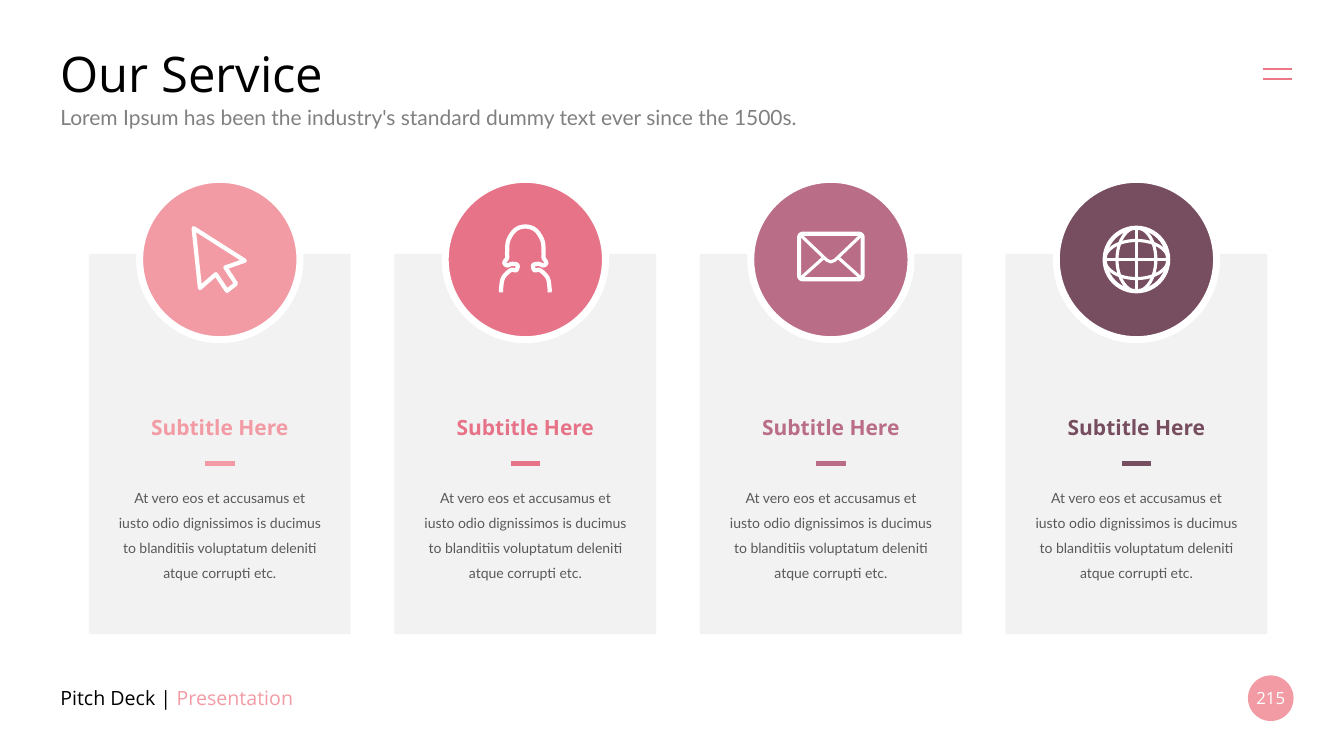
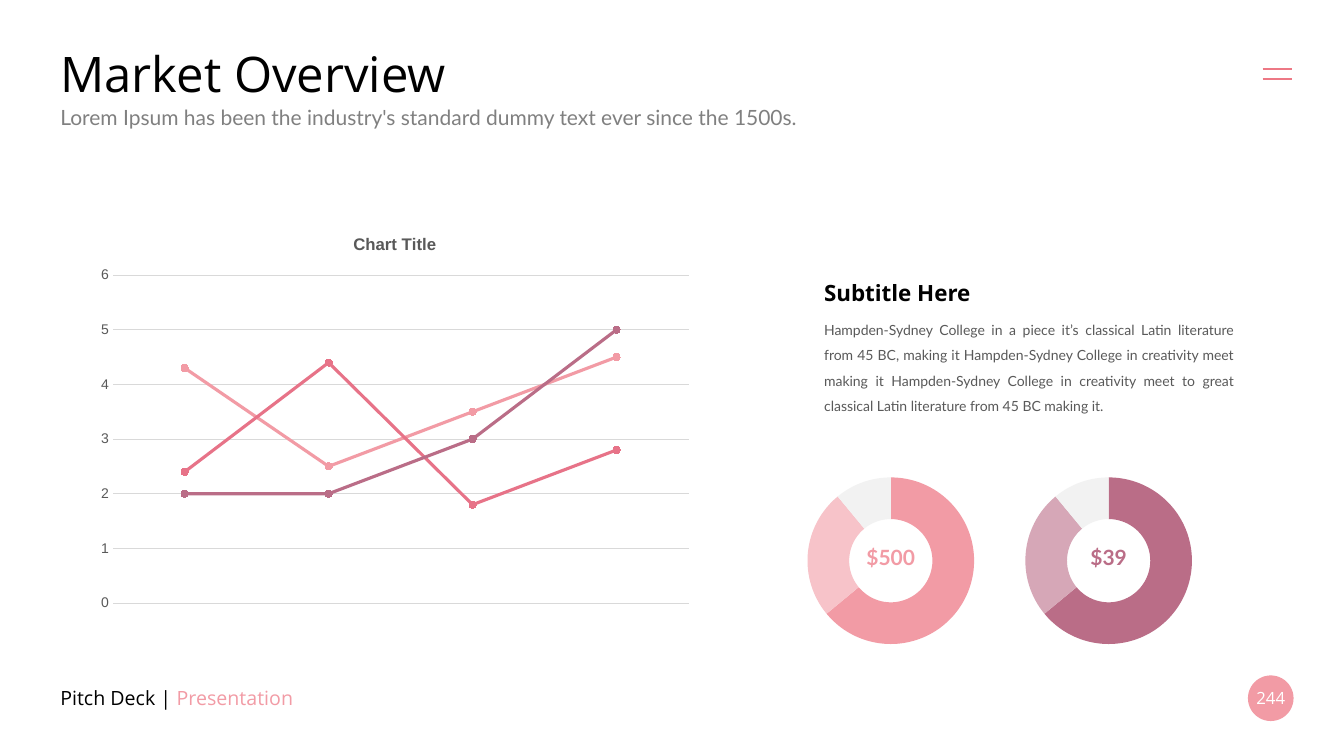
from dataclasses import dataclass

from pptx import Presentation
from pptx.chart.data import CategoryChartData
from pptx.dml.color import RGBColor
from pptx.enum.chart import XL_CHART_TYPE, XL_MARKER_STYLE, XL_TICK_MARK
from pptx.enum.shapes import MSO_CONNECTOR, MSO_SHAPE
from pptx.enum.text import MSO_ANCHOR, MSO_AUTO_SIZE, PP_ALIGN
from pptx.oxml.ns import qn
from pptx.oxml.xmlchemy import OxmlElement
from pptx.util import Cm, Pt

LEFT, CENTER, JUSTIFY = PP_ALIGN.LEFT, PP_ALIGN.CENTER, PP_ALIGN.JUSTIFY
TOP, MIDDLE = MSO_ANCHOR.TOP, MSO_ANCHOR.MIDDLE
RECT, ROUND, OVAL = MSO_SHAPE.RECTANGLE, MSO_SHAPE.ROUNDED_RECTANGLE, MSO_SHAPE.OVAL
STRAIGHT = MSO_CONNECTOR.STRAIGHT
LINES, RING = XL_CHART_TYPE.LINE_MARKERS, XL_CHART_TYPE.DOUGHNUT
DOT, NO_TICK = XL_MARKER_STYLE.CIRCLE, XL_TICK_MARK.NONE
NO_FIT = MSO_AUTO_SIZE.NONE


def rgb(code):
    return RGBColor.from_string(code)


@dataclass(frozen=True)
class Theme:
    head: str = "Open Sans"
    body: str = "Lato"
    chart: str = "Arial"
    black: RGBColor = rgb("000000")
    white: RGBColor = rgb("FFFFFF")
    gray: RGBColor = rgb("808080")
    text: RGBColor = rgb("595959")
    grid: RGBColor = rgb("D9D9D9")
    pale: RGBColor = rgb("F2F2F2")
    menu: RGBColor = rgb("ED7885")
    tints: tuple = (rgb("F29BA5"), rgb("E77388"), rgb("BA6D87"), rgb("774E60"))
    soft_pink: RGBColor = rgb("F7C3C9")
    soft_plum: RGBColor = rgb("D6A7B7")
    title: int = 35
    topic: int = 16
    lead: int = 15
    foot: int = 14
    label: int = 12
    small: int = 10


T = Theme()


# Basic elements

def style(font, name, size, color, bold=False):
    font.name, font.size, font.bold = name, Pt(size), bold
    font.color.rgb = color


def add_text(slide, box, lines, name, size, color, bold=False,
             align=LEFT, anchor=TOP, pitch=None):
    frame = slide.shapes.add_textbox(*map(Cm, box)).text_frame
    frame.word_wrap, frame.vertical_anchor = True, anchor
    frame.text = "\n".join(lines)
    for para in frame.paragraphs:
        para.alignment = align
        if pitch:
            para.line_spacing = Pt(pitch)
        for run in para.runs:
            style(run.font, name, size, color, bold)
    return frame


def paint(shape, fill=None, edge=None, width=1):
    shape.shadow.inherit = False
    if fill is None:
        shape.fill.background()
    else:
        shape.fill.solid()
        shape.fill.fore_color.rgb = fill
    if edge is None:
        shape.line.fill.background()
    else:
        shape.line.color.rgb, shape.line.width = edge, Pt(width)


def add_form(slide, kind, box, fill=None, edge=None, width=1):
    shape = slide.shapes.add_shape(kind, *map(Cm, box))
    paint(shape, fill, edge, width)
    return shape


def add_line(slide, start, end, color, width):
    line = slide.shapes.add_connector(STRAIGHT, *map(Cm, (*start, *end)))
    line.line.color.rgb, line.line.width = color, Pt(width)
    line._element.spPr.append(OxmlElement("a:effectLst"))


def add_path(slide, points, width, close=False):
    spots = [(Cm(x), Cm(y)) for x, y in points]
    maker = slide.shapes.build_freeform(*spots[0])
    maker.add_line_segments(spots[1:], close=close)
    paint(maker.convert_to_shape(), edge=T.white, width=width)


# Icons, drawn around a centre point

THICK, THIN = 3, 2.25


def shift(points, x, y):
    return [(x + dx, y + dy) for dx, dy in points]


def curve(points, steps=6):
    """Smooth a list of points with a Catmull-Rom spline."""
    padded = [points[0], *points, points[-1]]
    result = [points[0]]
    for four in zip(padded, padded[1:], padded[2:], padded[3:]):
        for step in range(1, steps + 1):
            t = step / steps
            result.append(tuple(
                (2 * b + (c - a) * t + (2 * a - 5 * b + 4 * c - d) * t ** 2
                 + (3 * b - a - 3 * c + d) * t ** 3) / 2
                for a, b, c, d in zip(*four)))
    return result


def draw_pointer(slide, x, y):
    points = [(-.66, -.79), (.63, .03), (.14, .2), (.41, .61),
              (.18, .79), (-.1, .37), (-.5, .72)]
    add_path(slide, shift(points, x, y), THICK, close=True)


def draw_woman(slide, x, y):
    half = [(-.61, .83), (-.61, .72), (-.56, .46), (-.37, .27), (-.23, .27),
            (-.2, .14), (-.34, .11), (-.46, .15), (-.53, .08), (-.46, -.04),
            (-.46, -.17), (-.43, -.48), (-.25, -.75), (0, -.83)]
    other = [(-dx, dy) for dx, dy in half[-2::-1]]
    add_path(slide, shift(curve(half + other), x, y), THICK)


def draw_mail(slide, x, y):
    frame = add_form(slide, ROUND, (x - .8, y - .65, 1.6, 1.15),
                     edge=T.white, width=THICK)
    frame.adjustments[0] = .08
    flap = [(-.75, -.6), (-.1, .02), (0, .06), (.1, .02), (.75, -.6)]
    add_path(slide, shift(flap, x, y), THIN)
    for side in (-1, 1):
        add_line(slide, (x + side * .75, y + .46), (x + side * .18, y - .05),
                 T.white, THIN)


def draw_globe(slide, x, y):
    for wide, high, width in ((.8, .8, THICK), (.49, .8, THIN), (.8, .48, THIN)):
        add_form(slide, OVAL, (x - wide, y - high, 2 * wide, 2 * high),
                 edge=T.white, width=width)
    add_line(slide, (x - .8, y), (x + .8, y), T.white, THIN)
    add_line(slide, (x, y - .8), (x, y + .8), T.white, THIN)


# Charts

def add_chart(slide, kind, box, cats, series):
    data = CategoryChartData()
    data.categories = cats
    for name, values in series:
        data.add_series(name, values)
    chart = slide.shapes.add_chart(kind, *map(Cm, box), data).chart
    chart.has_legend = chart.has_title = False
    style(chart.font, T.chart, T.small, T.black)
    return chart


def add_trend(slide, box, title, series):
    chart = add_chart(slide, LINES, box, ["1", "2", "3", "4"], series)
    chart.has_title = True
    frame = chart.chart_title.text_frame
    frame.text = title
    style(frame.paragraphs[0].runs[0].font, T.chart, T.label, T.text, True)
    chart.category_axis.visible = False
    axis = chart.value_axis
    axis.minimum_scale, axis.maximum_scale, axis.major_unit = 0, 6, 1
    axis.major_tick_mark = axis.minor_tick_mark = NO_TICK
    axis.format.line.fill.background()
    grid = axis.major_gridlines.format.line
    grid.color.rgb, grid.width = T.grid, Pt(.75)
    style(axis.tick_labels.font, T.chart, T.small, T.text)
    for item, tint in zip(chart.plots[0].series, T.tints):
        item.smooth = False
        item.format.line.color.rgb, item.format.line.width = tint, Pt(2.25)
        item.marker.style, item.marker.size = DOT, 5
        item.marker.format.fill.solid()
        item.marker.format.fill.fore_color.rgb = tint
        item.marker.format.line.color.rgb = tint


def add_ring(slide, left, top, size, label, colors):
    chart = add_chart(slide, RING, (left, top, size, size), ["1", "2", "3"],
                      [("Series 1", (64, 25, 11))])
    for hole in chart.element.iter(qn("c:holeSize")):
        hole.set("val", "62")
    points = chart.plots[0].series[0].points
    for index, color in enumerate(colors):
        form = points[index].format
        form.fill.solid()
        form.fill.fore_color.rgb = color
        form.line.fill.background()
    wide = 2.1
    add_text(slide, (left + (size - wide) / 2, top + 1.91, wide, .89), [label],
             T.body, T.lead, colors[0], True, CENTER)


# Slide frame: title, lead, menu mark, footer and number

def add_slide(deck, title, number):
    slide = deck.slides.add_slide(deck.slide_layouts[5])
    head = slide.shapes.title
    head.left, head.top, head.width, head.height = map(Cm, (1.27, 1, 31.32, 1.68))
    frame = head.text_frame
    frame.text, frame.vertical_anchor = title, MIDDLE
    frame.auto_size = NO_FIT
    para = frame.paragraphs[0]
    para.alignment = LEFT
    style(para.runs[0].font, T.head, T.title, T.black)

    add_text(slide, (1.27, 2.51, 31.32, .89),
             ["Lorem Ipsum has been the industry's standard dummy text "
              "ever since the 1500s."], T.body, T.lead, T.gray)
    for y in (1.74, 2):
        add_line(slide, (31.82, y), (32.57, y), T.menu, 1.5)

    foot = add_text(slide, (1.27, 17.07, 8.36, 1.02), ["Pitch Deck | "],
                    T.head, T.foot, T.black, anchor=MIDDLE)
    run = foot.paragraphs[0].add_run()
    run.text = "Presentation"
    style(run.font, T.head, T.foot, T.tints[0])

    badge = add_form(slide, OVAL, (31.45, 17.02, 1.15, 1.15), T.tints[0])
    frame = badge.text_frame
    frame.text, frame.word_wrap = number, False
    frame.vertical_anchor = MIDDLE
    frame.margin_left = frame.margin_right = 0
    frame.margin_top = frame.margin_bottom = 0
    frame.paragraphs[0].alignment = CENTER
    style(frame.paragraphs[0].runs[0].font, T.head, T.label, T.white)
    return slide


def add_card(slide, left, tint, icon):
    width, disc = 6.6, 4.04
    mid = left + width / 2
    add_form(slide, RECT, (left, 6.4, width, 9.58), T.pale)
    add_form(slide, OVAL, (mid - disc / 2, 4.52, disc, disc), tint, T.white, 5)
    icon(slide, mid, 4.52 + disc / 2)
    add_text(slide, (mid - 2.75, 10.31, 5.5, .89), ["Subtitle Here"],
             T.head, T.lead, tint, True, CENTER)
    add_line(slide, (mid - .37, 11.68), (mid + .37, 11.68), tint, 3)
    add_text(slide, (mid - 3, 11.99, 6, 2.74),
             ["At vero eos et accusamus et", "iusto odio dignissimos is ducimus",
              "to blanditiis voluptatum deleniti", "atque corrupti etc."],
             T.body, T.small, T.text, align=CENTER, pitch=18)


# Slides

def build_service(deck):
    slide = add_slide(deck, "Our Service", "215")
    icons = (draw_pointer, draw_woman, draw_mail, draw_globe)
    for index, (tint, icon) in enumerate(zip(T.tints, icons)):
        add_card(slide, 2.24 + 7.7 * index, tint, icon)


def build_market(deck):
    slide = add_slide(deck, "Market Overview", "244")
    add_trend(slide, (2.24, 5.49, 15.42, 10.11), "Chart Title", [
        ("Series 1", (4.3, 2.5, 3.5, 4.5)),
        ("Series 2", (2.4, 4.4, 1.8, 2.8)),
        ("Series 3", (2, 2, 3, 5))])
    add_text(slide, (20.52, 6.91, 7.52, 1.07), ["Subtitle Here"],
             T.head, T.topic, T.black, True)
    add_text(slide, (20.52, 7.77, 10.82, 2.74),
             ["Hampden-Sydney College in a piece it’s classical Latin literature "
              "from 45 BC, making it Hampden-Sydney College in creativity meet "
              "making it Hampden-Sydney College in creativity meet to great "
              "classical Latin literature from 45 BC making it."],
             T.body, T.small, T.text, align=JUSTIFY, pitch=18)
    rings = (("$500", T.tints[0], T.soft_pink), ("$39", T.tints[2], T.soft_plum))
    for index, (label, tint, soft) in enumerate(rings):
        add_ring(slide, 20 + 5.49 * index, 11.68, 4.9, label, (tint, soft, T.pale))


def main():
    deck = Presentation()
    deck.slide_width, deck.slide_height = Cm(33.87), Cm(19.05)
    build_service(deck)
    build_market(deck)
    deck.save("out.pptx")


if __name__ == "__main__":
    main()
